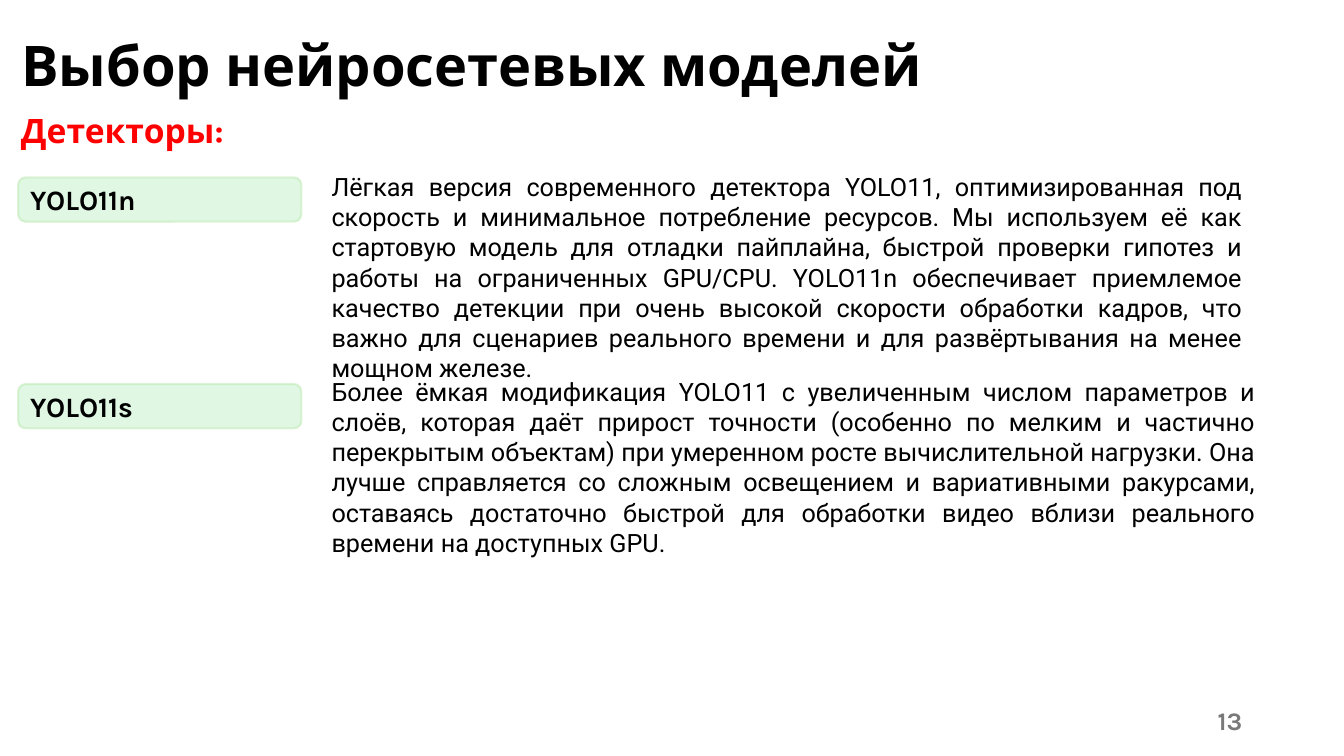
from dataclasses import dataclass

from lxml.etree import SubElement
from pptx import Presentation
from pptx.dml.color import RGBColor
from pptx.dml.fill import FillFormat
from pptx.enum.shapes import MSO_SHAPE
from pptx.enum.text import MSO_ANCHOR, MSO_AUTO_SIZE, PP_ALIGN
from pptx.oxml.ns import qn
from pptx.shapes.autoshape import Shape
from pptx.slide import Slide
from pptx.util import Emu, Pt

PX = 9144  # 100 px to the inch


@dataclass(frozen=True)
class TextStyle:
    size: int
    color: str
    font: str = "Karla"
    bold: bool = True
    align: PP_ALIGN = PP_ALIGN.LEFT
    spacing: float = 1.0


@dataclass(frozen=True)
class Theme:
    title: TextStyle = TextStyle(40, "000000", spacing=0.9)
    heading: TextStyle = TextStyle(24, "FF0000", spacing=0.9)
    label: TextStyle = TextStyle(20, "000000")
    body: TextStyle = TextStyle(18, "000000", "Roboto", False, PP_ALIGN.JUSTIFY)
    number: TextStyle = TextStyle(18, "797979", align=PP_ALIGN.RIGHT)
    label_fill: str = "47D45A"
    label_line: str = "8ED973"


@dataclass(frozen=True)
class Box:
    left: int
    top: int
    width: int
    height: int

    def emu(self) -> list[Emu]:
        return [Emu(v * PX) for v in (self.left, self.top, self.width, self.height)]


@dataclass(frozen=True)
class Detector:
    name: str
    label_top: int
    text_box: Box
    text: str


THEME = Theme()

DETECTORS = [
    Detector(
        "YOLO11n", 176, Box(319, 165, 923, 192),
        "Лёгкая версия современного детектора YOLO11, оптимизированная под "
        "скорость и минимальное потребление ресурсов. Мы используем её как "
        "стартовую модель для отладки пайплайна, быстрой проверки гипотез и "
        "работы на ограниченных GPU/CPU. YOLO11n обеспечивает приемлемое "
        "качество детекции при очень высокой скорости обработки кадров, что "
        "важно для сценариев реального времени и для развёртывания на менее "
        "мощном железе.",
    ),
    Detector(
        "YOLO11s", 381, Box(319, 368, 936, 162),
        "Более ёмкая модификация YOLO11 с увеличенным числом параметров и "
        "слоёв, которая даёт прирост точности (особенно по мелким и частично "
        "перекрытым объектам) при умеренном росте вычислительной нагрузки. Она "
        "лучше справляется со сложным освещением и вариативными ракурсами, "
        "оставаясь достаточно быстрой для обработки видео вблизи реального "
        "времени на доступных GPU.",
    ),
]


def write(s: Shape, text: str, style: TextStyle,
          anchor: MSO_ANCHOR = MSO_ANCHOR.MIDDLE,
          auto_size: MSO_AUTO_SIZE = MSO_AUTO_SIZE.NONE) -> None:
    tf = s.text_frame
    tf.word_wrap = True
    tf.auto_size = auto_size
    tf.vertical_anchor = anchor
    p = tf.paragraphs[0]
    p.text = text
    p.alignment = style.align
    p.line_spacing = style.spacing
    p.font.name = style.font
    p.font.size = Pt(style.size)
    p.font.bold = style.bold
    p.font.color.rgb = RGBColor.from_string(style.color)


def add_text(slide: Slide, box: Box, text: str, style: TextStyle,
             anchor: MSO_ANCHOR = MSO_ANCHOR.MIDDLE,
             auto_size: MSO_AUTO_SIZE = MSO_AUTO_SIZE.NONE) -> None:
    write(slide.shapes.add_textbox(*box.emu()), text, style, anchor, auto_size)


def paint(fill: FillFormat, color: str) -> None:
    fill.solid()
    fill.fore_color.rgb = RGBColor.from_string(color)


def add_label(slide: Slide, box: Box, text: str) -> None:
    s = slide.shapes.add_shape(MSO_SHAPE.ROUNDED_RECTANGLE, *box.emu())
    s.shadow.inherit = False
    paint(s.fill, THEME.label_fill)
    paint(s.line.fill, THEME.label_line)
    s.line.width = Pt(1.5)
    # Opacity of the fill and of the outline, in percent
    fill_color, line_color = s._element.spPr.iter(qn("a:srgbClr"))
    for color, opacity in ((fill_color, 17), (line_color, 25)):
        SubElement(color, qn("a:alpha"), val=str(opacity * 1000))
    write(s, text, THEME.label)


def add_detector(slide: Slide, detector: Detector) -> None:
    add_label(slide, Box(18, detector.label_top, 281, 44), detector.name)
    add_text(slide, detector.text_box, detector.text, THEME.body,
             MSO_ANCHOR.TOP, MSO_AUTO_SIZE.SHAPE_TO_FIT_TEXT)


def main() -> None:
    prs = Presentation()
    prs.slide_width, prs.slide_height = Emu(1333 * PX), Emu(750 * PX)
    slide = prs.slides.add_slide(prs.slide_layouts.get_by_name("Title Only"))

    # Title and heading
    title = slide.shapes.title
    title.left, title.top, title.width, title.height = Box(11, 1, 1188, 134).emu()
    write(title, "Выбор нейросетевых моделей", THEME.title)
    add_text(slide, Box(11, 101, 327, 61), "Детекторы:", THEME.heading)

    # Detectors with their descriptions
    for detector in DETECTORS:
        add_detector(slide, detector)

    # Slide number
    add_text(slide, Box(942, 695, 300, 40), "13", THEME.number)

    prs.save("out.pptx")


if __name__ == "__main__":
    main()
